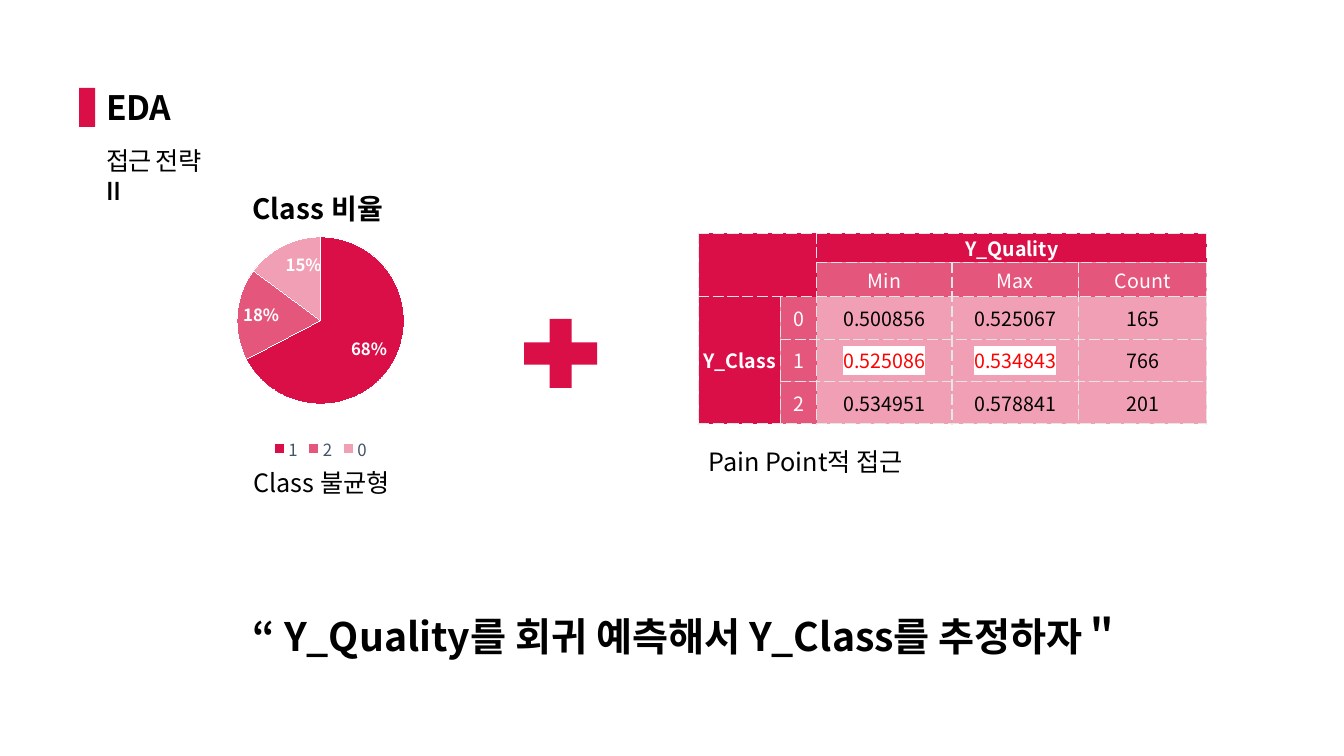
from lxml import etree
from pptx import Presentation
from pptx.chart.data import CategoryChartData
from pptx.dml.color import RGBColor
from pptx.enum import chart as c, shapes, text
from pptx.oxml import parse_xml
from pptx.oxml.ns import nsdecls, qn
from pptx.util import Pt

CRIMSON = RGBColor(0xDA, 0x0F, 0x47)
BLACK = RGBColor(0, 0, 0)
WHITE = RGBColor(0xFF, 0xFF, 0xFF)
RED = RGBColor(0xFF, 0, 0)
SLATE = RGBColor(0x44, 0x54, 0x6A)
FONT = "Noto Sans CJK KR"


def style(font, size, color=BLACK, bold=False, spacing=0):
    """Set a font for both Latin and Korean letters."""
    font.size, font.bold, font.name = Pt(size), bold, FONT
    font.color.rgb = color
    properties = font._element if hasattr(font, "_element") else font._rPr
    etree.SubElement(properties, qn("a:ea"), typeface=FONT)
    if spacing:
        properties.set("spc", str(spacing))


def tint(fill, alpha):
    """Fill with crimson at the given opacity in percent."""
    fill.solid()
    fill.fore_color.rgb = CRIMSON
    if alpha < 100:
        color = fill._xPr.find(qn("a:solidFill"))[0]
        etree.SubElement(color, qn("a:alpha"), val=str(alpha * 1000))


presentation = Presentation()
presentation.slide_width, presentation.slide_height = Pt(960), Pt(540)
slide = presentation.slides.add_slide(presentation.slide_layouts[5])

# Heading
title = slide.shapes.title
title.left, title.top, title.width, title.height = Pt(69), Pt(58.5), Pt(60.5), Pt(36)
frame = title.text_frame
frame.text = "EDA"
frame.word_wrap = False
frame.auto_size = text.MSO_AUTO_SIZE.NONE
frame.vertical_anchor = text.MSO_ANCHOR.MIDDLE
frame.paragraphs[0].alignment = text.PP_ALIGN.LEFT
style(frame.paragraphs[0].font, 24, bold=True, spacing=-60)

# Accent bar and plus sign
for kind, left, top, width, height in [
    (shapes.MSO_SHAPE.RECTANGLE, 56.5, 62.75, 11.5, 28),
    (shapes.MSO_SHAPE.MATH_PLUS, 365, 219, 71, 67),
]:
    shape = slide.shapes.add_shape(kind, Pt(left), Pt(top), Pt(width), Pt(height))
    shape.shadow.inherit = False
    tint(shape.fill, 100)
    shape.line.fill.background()

# Text boxes
for words, left, top, width, height, size, bold, align in [
    ("접근 전략 ", 69, 100, 92, 50, 18, False, text.PP_ALIGN.LEFT),
    ("Pain Point적 접근", 499, 315.5, 414, 29, 18, False, text.PP_ALIGN.LEFT),
    ("Class 불균형", 174, 330.5, 124, 29, 18, False, text.PP_ALIGN.LEFT),
    ("“ Y_Quality를 회귀 예측해서\u00a0Y_Class를 추정하자＂",
     121.5, 433.5, 739, 41, 28, True, text.PP_ALIGN.CENTER),
]:
    box = slide.shapes.add_textbox(Pt(left), Pt(top), Pt(width), Pt(height))
    box.text_frame.word_wrap = True
    paragraph = box.text_frame.paragraphs[0]
    paragraph.alignment = align
    run = paragraph.add_run()
    run.text = words
    if words.startswith("접근"):
        style(run.font, size, spacing=-60)
        numeral = paragraph.add_run()
        numeral.text = "II"
        style(numeral.font, size, bold=True)
        numeral.font.name = "Manrope"
    else:
        style(paragraph.font, size, bold=bold)

# Table of quality by class
rows = [
    ["", "", "Y_Quality", "", ""],
    ["", "", "Min", "Max", "Count"],
    ["Y_Class", "0", "0.500856", "0.525067", "165"],
    ["", "1", "0.525086", "0.534843", "766"],
    ["", "2", "0.534951", "0.578841", "201"],
]
table_frame = slide.shapes.add_table(5, 5, Pt(499), Pt(166.5), Pt(363), Pt(136))
table = table_frame.table
for column, width in zip(table.columns, [58.5, 26, 96.5, 90.5, 91.5]):
    column.width = Pt(width)
for row, height in zip(table.rows, [21, 24.5, 30.25, 30.25, 30.25]):
    row.height = Pt(height)
for i, row in enumerate(rows):
    for j, words in enumerate(row):
        cell = table.cell(i, j)
        cell.text = words
        cell.vertical_anchor = text.MSO_ANCHOR.MIDDLE
        cell.margin_left = cell.margin_right = cell.margin_top = cell.margin_bottom = 0
        for side in ("lnL", "lnR", "lnT", "lnB"):
            cell._tc.get_or_add_tcPr().append(parse_xml(
                f'<a:{side} {nsdecls("a")} w="12700"><a:solidFill><a:srgbClr val="E7E6E6"/>'
                f'</a:solidFill><a:prstDash val="sysDash"/></a:{side}>'))
        strong = i == 0 or j == 0 or (i == 1 and j < 2)
        body = i > 1 and j > 1
        tint(cell.fill, 100 if strong else 40 if body else 70)
        paragraph = cell.text_frame.paragraphs[0]
        paragraph.alignment = text.PP_ALIGN.CENTER
        marked = i == 3 and j in (2, 3)
        color = RED if marked else BLACK if body else WHITE
        style(paragraph.font, 14, color, bold=strong)
        if marked:
            paragraph.runs[0].font._element.append(parse_xml(
                f'<a:highlight {nsdecls("a")}><a:srgbClr val="FFFFFF"/></a:highlight>'
            )) if hasattr(paragraph.runs[0].font, "_element") else \
                paragraph.runs[0]._r.get_or_add_rPr().append(parse_xml(
                    f'<a:highlight {nsdecls("a")}><a:srgbClr val="FFFFFF"/></a:highlight>'))
for first, last in [((0, 0), (1, 1)), ((0, 2), (0, 4)), ((2, 0), (4, 0))]:
    table.cell(*first).merge(table.cell(*last))

# Pie of class shares
data = CategoryChartData(number_format='0"%"')
data.categories = ["1", "2", "0"]
data.add_series("Series 1", [68, 18, 15])
chart = slide.shapes.add_chart(
    c.XL_CHART_TYPE.PIE, Pt(104.5), Pt(114.5), Pt(249), Pt(218), data).chart
style(chart.font, 10)
chart.has_title = True
chart.chart_title.text_frame.text = "Class 비율"
style(chart.chart_title.text_frame.paragraphs[0].font, 20, bold=True)
chart.has_legend = True
chart.legend.position = c.XL_LEGEND_POSITION.BOTTOM
chart.legend.include_in_layout = False
style(chart.legend.font, 12, SLATE)
plot = chart.plots[0]
plot.vary_by_categories = False
for index, alpha in enumerate([100, 70, 40]):
    point = plot.series[0].points[index]
    tint(point.format.fill, alpha)
    point.format.line.color.rgb = WHITE
plot.has_data_labels = True
labels = plot.data_labels
labels.show_value = True
labels.number_format, labels.number_format_is_linked = '0"%"', False
labels.position = c.XL_LABEL_POSITION.INSIDE_END
style(labels.font, 12, WHITE, bold=True)
for parent, target, places in [
    (chart._chartSpace.chart.plotArea, "inner", {"x": 0.26, "y": 0.25, "w": 0.48, "h": 0.55}),
    (chart.chart_title._element, "", {"x": 0.29, "y": 0.06}),
]:
    for old in parent.findall(qn("c:layout")):
        parent.remove(old)
    layout = etree.Element(qn("c:layout"))
    manual = etree.SubElement(layout, qn("c:manualLayout"))
    if target:
        etree.SubElement(manual, qn("c:layoutTarget"), val=target)
    for name in ("x", "y"):
        etree.SubElement(manual, qn(f"c:{name}Mode"), val="edge")
    for name, value in places.items():
        etree.SubElement(manual, qn(f"c:{name}"), val=str(value))
    if target:
        parent.insert(0, layout)
    else:
        parent.find(qn("c:tx")).addnext(layout)

presentation.save("out.pptx")
